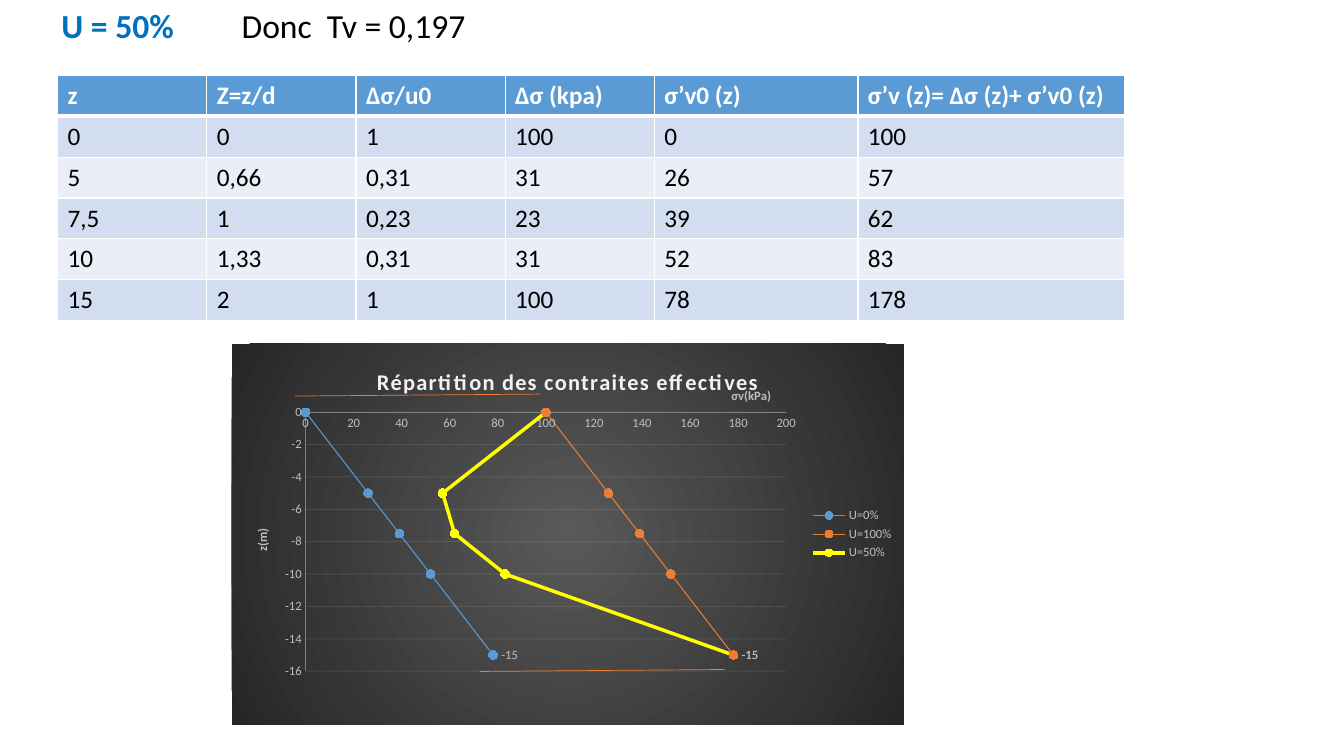
from dataclasses import dataclass

import lxml.etree
import pptx
import pptx.chart.data
import pptx.dml.color
import pptx.enum.chart
import pptx.enum.shapes
import pptx.oxml
import pptx.oxml.ns
import pptx.util

Cm, Pt = pptx.util.Cm, pptx.util.Pt
RGB = pptx.dml.color.RGBColor
qn = pptx.oxml.ns.qn
enums = pptx.enum.chart

FONT = "Calibri"
WHITE, BLACK = RGB(255, 255, 255), RGB(0, 0, 0)
AZURE = RGB(0x00, 0x70, 0xC0)
BLUE, ORANGE, YELLOW = RGB(0x5B, 0x9B, 0xD5), RGB(0xED, 0x7D, 0x31), RGB(0xFF, 0xFF, 0)
BANDS = RGB(0xD2, 0xDE, 0xEF), RGB(0xEA, 0xEF, 0xF7)
SILVER, GREY, PALE = RGB(0xBF, 0xBF, 0xBF), RGB(0x80, 0x80, 0x80), RGB(0xF2, 0xF2, 0xF2)

ROWS = [
    ["z", "Z=z/d", "∆σ/u0", "∆σ (kpa)", "σ’v0 (z)", "σ’v (z)= ∆σ (z)+ σ’v0 (z)"],
    ["0", "0", "1", "100", "0", "100"],
    ["5", "0,66", "0,31", "31", "26", "57"],
    ["7,5", "1", "0,23", "23", "39", "62"],
    ["10", "1,33", "0,31", "31", "52", "83"],
    ["15", "2", "1", "100", "78", "178"],
]
WIDTHS = [3.76, 3.76, 3.76, 3.76, 5.13, 6.71]
DEPTHS = [0, -5, -7.5, -10, -15]


@dataclass
class Curve:
    name: str
    loads: list[int]
    color: RGB
    width: float


CURVES = [
    Curve("U=0%", [0, 26, 39, 52, 78], BLUE, 0.75),
    Curve("U=100%", [100, 126, 139, 152, 178], ORANGE, 0.75),
    Curve("U=50%", [100, 57, 62, 83, 178], YELLOW, 2.5),
]


def write(frame, text: str, *, size: float, color: RGB, bold: bool = False, gap: int = 0) -> None:
    """Put one run of text in a frame; gap is letter spacing in 1/100 pt."""
    run = frame.paragraphs[0].add_run()
    run.text = text
    style(run.font, size, color, bold)
    if gap:
        run.font._element.set("spc", str(gap))


def style(font, size: float, color: RGB, bold: bool = False) -> None:
    font.name, font.size, font.bold = FONT, Pt(size), bold
    font.color.rgb = color


def add_text(slide, left: float, width: float, text: str, *, wrap: bool = True, **form) -> None:
    frame = slide.shapes.add_textbox(Cm(left), 0, Cm(width), Cm(1.27)).text_frame
    frame.word_wrap = wrap
    write(frame, text, size=24, **form)


def edge(cell, widths: dict[str, int]) -> None:
    """Draw white cell borders, in the order the schema wants."""
    props = cell._tc.get_or_add_tcPr()
    for spot, (side, width) in enumerate(widths.items()):
        line = lxml.etree.Element(qn(f"a:ln{side}"), w=str(Pt(width)))
        fill = lxml.etree.SubElement(line, qn("a:solidFill"))
        lxml.etree.SubElement(fill, qn("a:srgbClr"), val=str(WHITE))
        props.insert(spot, line)


def add_grid(slide) -> None:
    table = slide.shapes.add_table(
        len(ROWS), len(WIDTHS), Cm(1.45), Cm(1.9), Cm(sum(WIDTHS)), Cm(6.18)).table
    for column, width in zip(table.columns, WIDTHS):
        column.width = Cm(width)
    for r, row in enumerate(ROWS):
        table.rows[r].height = Cm(1.03)
        head = r == 0
        for c, text in enumerate(row):
            cell = table.cell(r, c)
            cell.fill.solid()
            cell.fill.fore_color.rgb = BLUE if head else BANDS[(r - 1) % 2]
            write(cell.text_frame, text, size=18, color=WHITE if head else BLACK, bold=head)
            edge(cell, {"L": 1, "R": 1, "T": 3 if r == 1 else 1, "B": 3 if head else 1})


def place(part, spot: int, **spans: float) -> None:
    """Give a chart part a manual layout, in fractions of the chart."""
    for old in part.findall(qn("c:layout")):
        part.remove(old)
    layout = lxml.etree.Element(qn("c:layout"))
    manual = lxml.etree.SubElement(layout, qn("c:manualLayout"))
    if "w" in spans:
        lxml.etree.SubElement(manual, qn("c:layoutTarget"), val="inner")
    for key in ("x", "y"):
        lxml.etree.SubElement(manual, qn(f"c:{key}Mode"), val="edge")
    for key, span in spans.items():
        lxml.etree.SubElement(manual, qn(f"c:{key}"), val=str(span))
    part.insert(spot, layout)


def set_axis(axis, low: int, high: int, step: int, title: str, x: float, y: float) -> None:
    axis.minimum_scale, axis.maximum_scale, axis.major_unit = low, high, step
    axis.major_tick_mark = axis.minor_tick_mark = enums.XL_TICK_MARK.NONE
    style(axis.tick_labels.font, 9, SILVER)
    axis.format.line.color.rgb, axis.format.line.width = GREY, Pt(0.75)
    write(axis.axis_title.text_frame, title, size=9, color=SILVER, bold=True)
    place(axis.axis_title._element, 1, x=x, y=y)


def draw_curve(series, curve: Curve) -> None:
    series.smooth = True
    series.format.line.color.rgb, series.format.line.width = curve.color, Pt(curve.width)
    mark = series.marker
    mark.style, mark.size = enums.XL_MARKER_STYLE.CIRCLE, 6
    mark.format.fill.solid()
    mark.format.fill.fore_color.rgb = curve.color
    mark.format.line.color.rgb = curve.color
    # Label the deepest point only
    label = series.points[len(DEPTHS) - 1].data_label
    style(label.font, 9, SILVER)
    label.position = enums.XL_LABEL_POSITION.RIGHT
    series._element.find(qn("c:dLbls")).find(qn("c:showVal")).set("val", "0")


def shade(chart) -> None:
    """Fill the chart with a dark round gradient."""
    space = chart._chartSpace
    for old in space.findall(qn("c:spPr")):
        space.remove(old)
    names = pptx.oxml.ns.nsdecls("c", "a")
    space.find(qn("c:chart")).addnext(pptx.oxml.parse_xml(
        f'<c:spPr {names}><a:gradFill><a:gsLst>'
        '<a:gs pos="0"><a:srgbClr val="595959"/></a:gs>'
        '<a:gs pos="100000"><a:srgbClr val="262626"/></a:gs></a:gsLst>'
        '<a:path path="circle"><a:fillToRect l="50000" t="50000" r="50000" b="50000"/></a:path>'
        '</a:gradFill><a:ln><a:noFill/></a:ln></c:spPr>'))


def add_plot(slide) -> None:
    data = pptx.chart.data.XyChartData()
    for curve in CURVES:
        series = data.add_series(curve.name)
        for load, depth in zip(curve.loads, DEPTHS):
            series.add_data_point(load, depth)
    chart = slide.shapes.add_chart(
        enums.XL_CHART_TYPE.XY_SCATTER_SMOOTH,
        Cm(5.84), Cm(8.66), Cm(16.94), Cm(9.6), data).chart
    style(chart.font, 10, BLACK)
    shade(chart)
    place(chart._chartSpace.find(qn("c:chart")).find(qn("c:plotArea")), 0,
          x=0.11, y=0.18, w=0.715, h=0.68)

    # Titles, axes and legend
    chart.has_title = True
    write(chart.chart_title.text_frame, "Répartition des contraites effectives",
          size=16, color=PALE, bold=True, gap=100)
    place(chart.chart_title._element, 1, x=0.21, y=0.05)
    set_axis(chart.category_axis, 0, 200, 20, "σv(kPa)", 0.74, 0.11)
    set_axis(chart.value_axis, -16, 0, 2, "z(m)", 0.03, 0.48)
    chart.category_axis.has_major_gridlines = False
    grid = chart.value_axis.major_gridlines.format.line
    grid.color.rgb, grid.width = PALE, Pt(0.75)
    tint = next(chart.value_axis.major_gridlines._xAx.iter(qn("a:srgbClr")))
    lxml.etree.SubElement(tint, qn("a:alpha"), val="10000")
    chart.has_legend = True
    chart.legend.position = enums.XL_LEGEND_POSITION.RIGHT
    chart.legend.include_in_layout = False
    style(chart.legend.font, 9, SILVER)

    for series, curve in zip(chart.plots[0].series, CURVES):
        draw_curve(series, curve)


def add_line(slide, left: float, top: float) -> None:
    line = slide.shapes.add_connector(
        pptx.enum.shapes.MSO_CONNECTOR.STRAIGHT,
        Cm(left + 6.17), Cm(top), Cm(left), Cm(top + 0.05))
    line.line.color.rgb, line.line.width = ORANGE, Pt(0.5)
    lxml.etree.SubElement(line._element.spPr, qn("a:effectLst"))


def main() -> None:
    deck = pptx.Presentation()
    deck.slide_width, deck.slide_height = Cm(33.87), Cm(19.05)
    slide = deck.slides.add_slide(deck.slide_layouts[6])
    add_grid(slide)
    add_text(slide, 1.3, 21.46, "U = 50%", color=AZURE, bold=True)
    add_text(slide, 5.84, 6.2, "Donc  Tv = 0,197", color=BLACK, wrap=False)
    add_plot(slide)
    # Soil layer limits
    add_line(slide, 7.44, 9.93)
    add_line(slide, 12.09, 16.87)
    deck.save("out.pptx")


if __name__ == "__main__":
    main()
